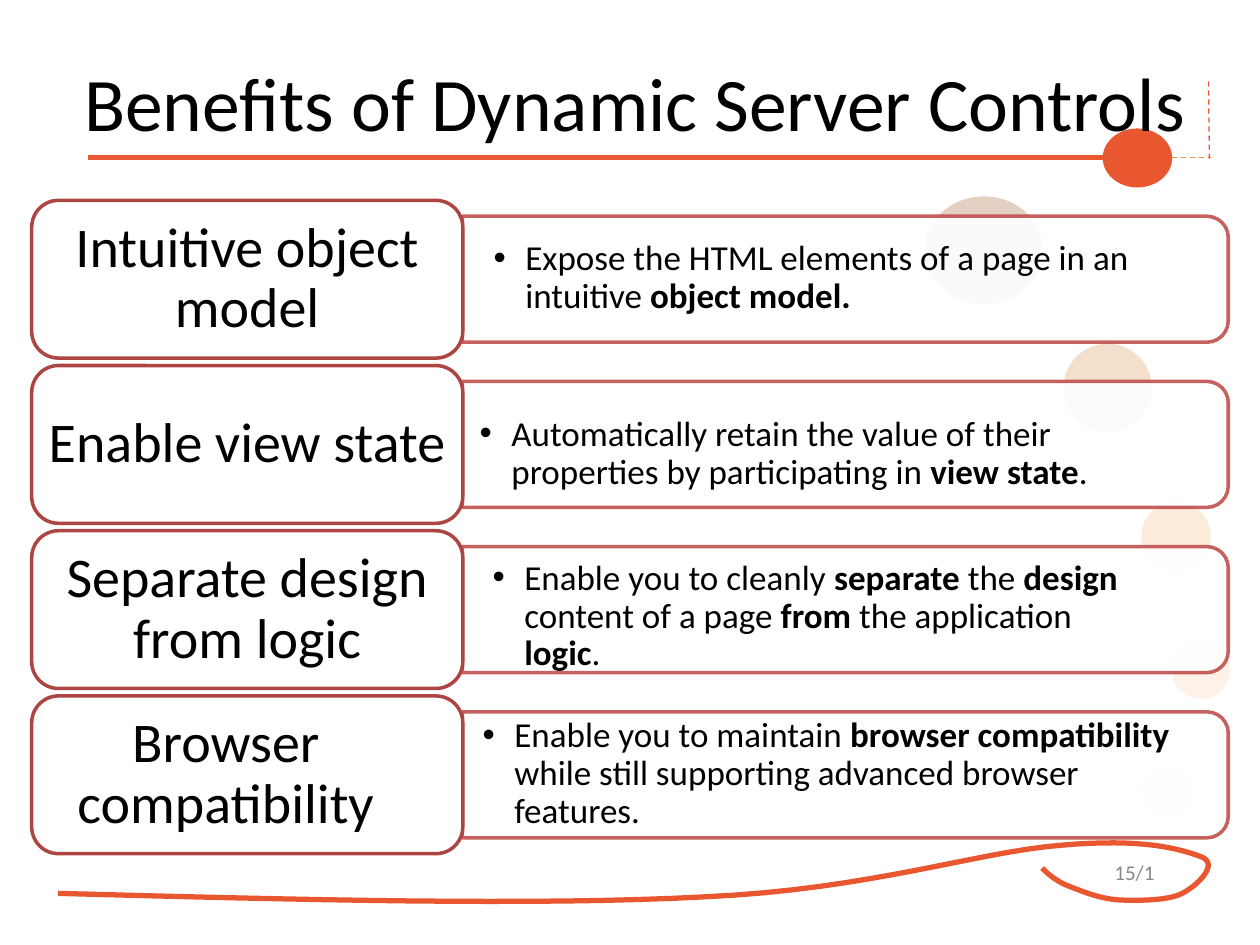
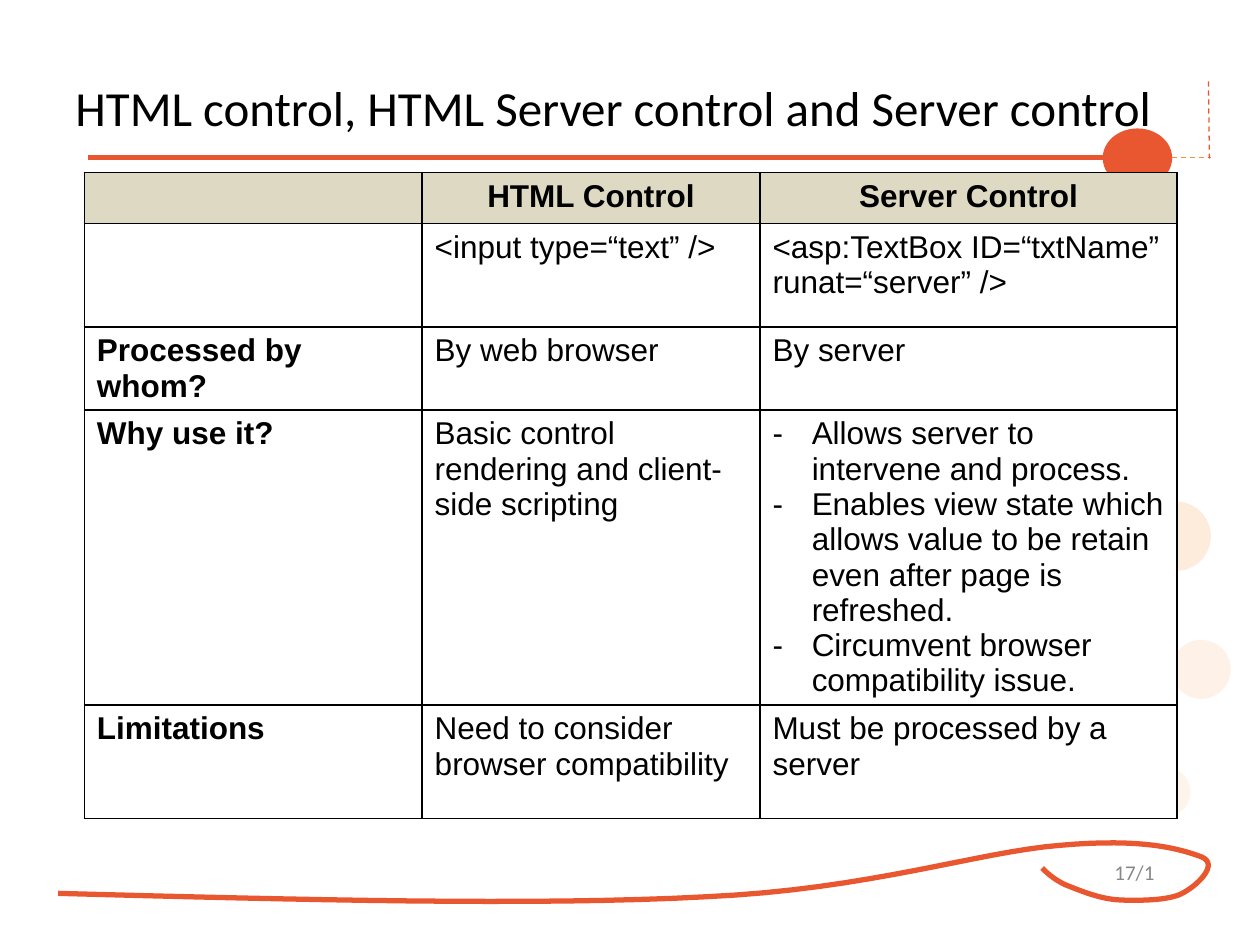
from dataclasses import dataclass

from lxml.etree import SubElement as Sub
from pptx import Presentation
from pptx.dml.color import RGBColor
from pptx.enum.dml import MSO_LINE as Dash
from pptx.enum.shapes import MSO_CONNECTOR as Link, MSO_SHAPE as Kind
from pptx.enum.text import MSO_ANCHOR as Anchor, MSO_AUTO_SIZE as Auto, PP_ALIGN as Align
from pptx.oxml.ns import qn
from pptx.util import Cm, Pt

# Shared colours and fonts
ORANGE, AMBER, BLACK, WHITE, GRAY = "E85730", "F6903C", "000000", "FFFFFF", "888888"
BAR_RED, TAG_RED, SAND = "BF504D", "AD4643", "DDD9C3"
MAIN, GRID = "Calibri", "Arial"


@dataclass
class Disc:
    left: float
    top: float
    width: float
    height: float
    color: str
    alpha: int = 100


@dataclass
class Rule:
    start: tuple[float, float]
    end: tuple[float, float]
    color: str = ORANGE
    width: float = 0.75
    dashed: bool = True


@dataclass
class Gain:
    label: str
    body: str
    box: tuple[float, float, float, float]
    pad: float = 0.18


DISCS = [
    Disc(18.64, 3.96, 2.39, 2.18, "904406", 25),
    Disc(21.44, 6.93, 1.78, 1.78, "C85F08", 20),
    Disc(23.01, 10.11, 1.4, 1.4, "F57B17", 15),
    Disc(23.62, 12.9, 1.19, 1.19, "F67B16", 10),
    Disc(23.01, 15.47, 0.99, 0.99, "F59545", 10),
    Disc(22.23, 2.59, 1.4, 1.19, ORANGE),
]
RULES = [
    Rule((1.78, 3.18), (22.23, 3.18), width=3, dashed=False),
    Rule((23.62, 3.18), (24.41, 3.18), AMBER),
    Rule((24.38, 3.2), (24.36, 1.57)),
]
# Bezier points of the footer swirl: a start, then three points a curve
SWIRL = [
    (1.17, 18.01), (5.99, 18.14), (10.82, 18.26), (14.2, 18.08),
    (17.55, 17.93), (19.71, 17.17), (21.39, 17.04),
    (23.06, 16.89), (23.8, 17.12), (24.21, 17.27),
    (24.61, 17.42), (24.1, 17.88), (23.83, 18.01),
    (23.55, 18.16), (22.91, 18.16), (22.53, 18.14),
    (22.12, 18.11), (21.72, 17.93), (21.46, 17.83),
    (21.21, 17.7), (21.11, 17.6), (21.01, 17.5),
]
GAINS = [
    Gain("Intuitive object model",
         "Expose the HTML elements of a page in an intuitive *object model.*",
         (9.75, 4.22, 15.01, 2.79)),
    Gain("Enable view state",
         "Automatically retain the value of their properties by participating in *view state*.",
         (9.47, 6.65, 14.4, 5)),
    Gain("Separate design from logic",
         "Enable you to cleanly *separate *the *design* content of a page *from*"
         " the application *logic*.",
         (9.73, 10.95, 13.49, 2.97)),
    Gain("Browser compatibility",
         "Enable you to maintain *browser compatibility *while still supporting"
         " advanced browser features.",
         (9.53, 14.53, 15.01, 2.16), pad=1.04),
]
COLS = [6.81, 6.81, 8.41]
ROWS = [0.91, 2.08, 1.5, 5.74, 2.29]
CELLS = [
    ["", "*HTML Control*", "*Server Control*"],
    ["", "<input type=“text” />", "<asp:TextBox ID=“txtName” runat=“server” />"],
    ["*Processed by whom?*", "By web browser", "By server"],
    ["*Why use it?*", "Basic control rendering and client-side scripting",
     "Allows server to intervene and process.\n"
     "Enables view state which allows value to be retain even after page is refreshed.\n"
     "Circumvent browser compatibility issue."],
    ["*Limitations*", "Need to consider browser compatibility", "Must be processed by a server"],
]


def rgb(color: str) -> RGBColor:
    return RGBColor.from_string(color)


def bullet(para, mark: str, indent: float) -> None:
    props = para._p.get_or_add_pPr()
    props.set("marL", str(Cm(indent)))
    props.set("indent", str(-Cm(indent)))
    tint = Sub(props, qn("a:buClr"))
    Sub(tint, qn("a:srgbClr"), val=BLACK)
    Sub(props, qn("a:buFont"), typeface=GRID)
    Sub(props, qn("a:buChar"), char=mark)


def write(frame, text: str, *, size: float, font: str = MAIN, color: str = BLACK,
          align=Align.LEFT, space: float = 1, mark: str = "", indent: float = 0) -> None:
    """Newlines part paragraphs; asterisks switch bold on and off."""
    for i, line in enumerate(text.split("\n")):
        para = frame.add_paragraph() if i else frame.paragraphs[0]
        if mark:
            bullet(para, mark, indent)
        para.alignment, para.line_spacing = align, space
        for j, part in enumerate(line.split("*")):
            if part:
                run = para.add_run()
                run.text = part
                run.font.name, run.font.size = font, Pt(size)
                run.font.bold = j % 2 == 1
                run.font.color.rgb = rgb(color)


def setup(frame, side: float = 0.25, edge: float = 0.13) -> None:
    frame.word_wrap, frame.auto_size = True, Auto.NONE
    frame.vertical_anchor = Anchor.MIDDLE
    frame.margin_left = frame.margin_right = Cm(side)
    frame.margin_top = frame.margin_bottom = Cm(edge)


def shape(slide, kind, box, fill: str, line: str = "", alpha: int = 100):
    item = slide.shapes.add_shape(kind, *map(Cm, box))
    item.shadow.inherit = False
    item.fill.solid()
    item.fill.fore_color.rgb = rgb(fill)
    if line:
        item.line.color.rgb, item.line.width = rgb(line), Pt(2)
    else:
        item.line.fill.background()
    if alpha < 100:
        for tint in item.element.spPr.iter(qn("a:srgbClr")):
            Sub(tint, qn("a:alpha"), val=str(alpha * 1000))
    return item


def textbox(slide, box, side: float = 0.25, edge: float = 0.13):
    frame = slide.shapes.add_textbox(*map(Cm, box)).text_frame
    setup(frame, side, edge)
    return frame


def rule(slide, item: Rule) -> None:
    line = slide.shapes.add_connector(Link.STRAIGHT, *map(Cm, item.start + item.end))
    line.line.color.rgb, line.line.width = rgb(item.color), Pt(item.width)
    if item.dashed:
        line.line.dash_style = Dash.DASH
    Sub(line.element.spPr, qn("a:effectLst"))


def swirl(slide, steps: int = 16) -> None:
    dots = []
    for i in range(0, len(SWIRL) - 1, 3):
        for k in range(1, steps + 1):
            t = k / steps
            mix = ((1 - t) ** 3, 3 * t * (1 - t) ** 2, 3 * t * t * (1 - t), t ** 3)
            dots.append(tuple(Cm(sum(m * p[axis] for m, p in zip(mix, SWIRL[i:i + 4])))
                              for axis in (0, 1)))
    pen = slide.shapes.build_freeform(*map(Cm, SWIRL[0]))
    pen.add_line_segments(dots, close=False)
    curve = pen.convert_to_shape()
    curve.shadow.inherit = False
    curve.fill.background()
    curve.line.color.rgb, curve.line.width = rgb(ORANGE), Pt(3)


def page(deck, title: str, number: str, size: float, height: float, align):
    """Add a slide with the shared art, its number and its title."""
    slide = deck.slides.add_slide(deck.slide_layouts[5])
    write(textbox(slide, (22.02, 17.07, 1.7, 1.02)), number, size=12, color=GRAY,
          align=Align.CENTER)
    swirl(slide)
    for disc in DISCS:
        shape(slide, Kind.OVAL, (disc.left, disc.top, disc.width, disc.height),
              disc.color, alpha=disc.alpha)
    for item in RULES:
        rule(slide, item)
    head = slide.shapes.title
    head.left, head.top, head.width, head.height = map(Cm, (1.27, 0.51, 23.06, height))
    setup(head.text_frame)
    write(head.text_frame, title, size=size, align=align)
    head.element.getparent().append(head.element)  # title above the art
    return slide


def gain(slide, item: Gain, row: int) -> None:
    top, tall = 4.04 + 3.33 * row, 3.18
    thick, wide = 2.54, 15.44
    # The bar is turned a quarter, so its box is centred on the row
    bar = shape(slide, Kind.ROUND_2_SAME_RECTANGLE,
                (9.32 + (wide - thick) / 2, top + (tall - wide) / 2, thick, wide),
                WHITE, BAR_RED, 90)
    bar.rotation = 90
    bar.adjustments[0], bar.adjustments[1] = 0.17, 0
    write(textbox(slide, item.box, 0.2, 0.1), item.body, size=20, space=0.9,
          mark="•", indent=0.64)
    tag = shape(slide, Kind.ROUNDED_RECTANGLE, (0.64, top, 8.69, tall), WHITE, TAG_RED)
    tag.adjustments[0] = 0.17
    setup(tag.text_frame, 0.18, 0.18)
    tag.text_frame.margin_right = Cm(item.pad)
    write(tag.text_frame, item.label, size=32, space=0.9, align=Align.CENTER)


def border(cell) -> None:
    props = cell._tc.get_or_add_tcPr()
    for side in ("lnL", "lnR", "lnT", "lnB"):
        line = Sub(props, qn(f"a:{side}"), w=str(Pt(1)))
        Sub(Sub(line, qn("a:solidFill")), qn("a:srgbClr"), val=BLACK)


def grid(slide) -> None:
    box = map(Cm, (1.7, 3.48, sum(COLS), sum(ROWS)))
    table = slide.shapes.add_table(len(ROWS), len(COLS), *box).table
    for col, width in zip(table.columns, COLS):
        col.width = Cm(width)
    for r, texts in enumerate(CELLS):
        table.rows[r].height = Cm(ROWS[r])
        for c, text in enumerate(texts):
            cell = table.cell(r, c)
            border(cell)
            cell.fill.solid()
            cell.fill.fore_color.rgb = rgb(WHITE if r else SAND)
            write(cell.text_frame, text, size=18, font=GRID,
                  align=Align.LEFT if r else Align.CENTER,
                  mark="-" if "\n" in text else "", indent=0.79)


def main() -> None:
    deck = Presentation()
    deck.slide_width, deck.slide_height = Cm(25.4), Cm(19.05)

    # Benefits
    slide = page(deck, "Benefits of Dynamic Server Controls", "15/1", 43.2, 3.07, Align.CENTER)
    for row, item in enumerate(GAINS):
        gain(slide, item, row)

    # Comparison table
    slide = page(deck, "HTML control, HTML Server control and Server control", "17/1",
                 28, 3.3, Align.LEFT)
    grid(slide)

    deck.save("out.pptx")


if __name__ == "__main__":
    main()
